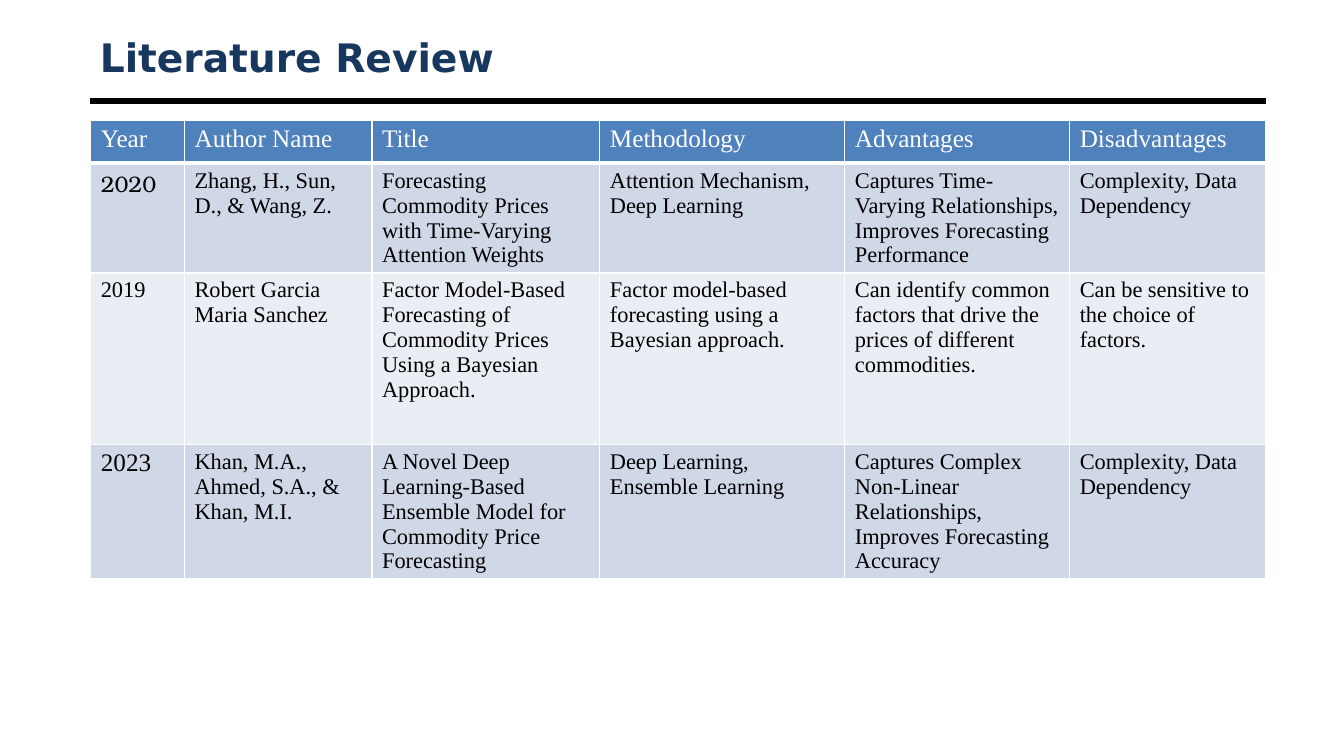
from dataclasses import dataclass

from lxml import etree
from pptx import Presentation
from pptx.dml.color import RGBColor
from pptx.enum.shapes import MSO_CONNECTOR
from pptx.enum.text import MSO_ANCHOR, MSO_AUTO_SIZE, PP_ALIGN
from pptx.oxml.ns import qn
from pptx.util import Inches, Pt

STRAIGHT = MSO_CONNECTOR.STRAIGHT
MIDDLE = MSO_ANCHOR.MIDDLE
NO_FIT = MSO_AUTO_SIZE.NONE
LEFT = PP_ALIGN.LEFT

NAVY = RGBColor(0x17, 0x37, 0x5E)
BLUE = RGBColor(0x4F, 0x81, 0xBD)
DARK = RGBColor(0xD0, 0xD8, 0xE8)
LIGHT = RGBColor(0xE9, 0xED, 0xF4)
BLACK = RGBColor(0, 0, 0)
WHITE = RGBColor(0xFF, 0xFF, 0xFF)

SERIF = "Times New Roman"
WIDTHS = (0.93, 1.86, 2.26, 2.43, 2.23, 1.94)
HEADS = ("Year", "Author Name", "Title", "Methodology",
         "Advantages", "Disadvantages")


@dataclass
class Row:
    height: float
    fill: RGBColor
    texts: tuple[str, ...]
    color: RGBColor = BLACK
    size: int = 16
    year_size: int = 16
    year_font: str = SERIF
    base: int = 1  # width of the bottom border in points


ROWS = (
    Row(0.43, BLUE, HEADS, color=WHITE, size=18, year_size=18, base=3),
    Row(1.08, DARK, (
        "2020",
        "Zhang, H., Sun, D., & Wang, Z.",
        "Forecasting Commodity Prices with Time-Varying Attention Weights",
        "Attention Mechanism, Deep Learning",
        "Captures Time-Varying Relationships, Improves Forecasting Performance",
        "Complexity, Data Dependency",
    ), year_font="TeX Gyre Bonum"),
    Row(1.7, LIGHT, (
        "2019",
        "Robert Garcia\nMaria Sanchez",
        "Factor Model-Based Forecasting of Commodity Prices "
        "Using a Bayesian Approach.",
        "Factor model-based forecasting using a Bayesian approach.",
        "Can identify common factors that drive the prices "
        "of different commodities.",
        "Can be sensitive to the choice of factors.",
    )),
    Row(1.33, DARK, (
        "2023",
        "Khan, M.A., Ahmed, S.A., & Khan, M.I.",
        "A Novel Deep Learning-Based Ensemble Model "
        "for Commodity Price Forecasting",
        "Deep Learning, Ensemble Learning",
        "Captures Complex Non-Linear Relationships, "
        "Improves Forecasting Accuracy",
        "Complexity, Data Dependency",
    ), year_size=18),
)


def add_run(para, text: str, font: str, size: int, color: RGBColor,
            bold: bool = False) -> None:
    run = para.add_run()
    run.text = text
    run.font.name = font
    run.font.size = Pt(size)
    run.font.bold = bold
    run.font.color.rgb = color


def add_edges(cell, top: int, base: int) -> None:
    """Give a cell white borders, ahead of its fill."""
    props = cell._tc.get_or_add_tcPr()
    edges = (("a:lnL", 1), ("a:lnR", 1), ("a:lnT", top), ("a:lnB", base))
    for spot, (tag, width) in enumerate(edges):
        edge = etree.Element(qn(tag), w=str(Pt(width)))
        fill = etree.SubElement(edge, qn("a:solidFill"))
        etree.SubElement(fill, qn("a:srgbClr"), val=str(WHITE))
        props.insert(spot, edge)


def add_title(slide) -> None:
    title = slide.shapes.title
    title.left, title.top = Inches(0.89), Inches(0.3)
    title.width, title.height = Inches(11.67), Inches(0.53)
    frame = title.text_frame
    frame.auto_size = NO_FIT
    frame.vertical_anchor = MIDDLE
    para = frame.paragraphs[0]
    para.alignment = LEFT
    add_run(para, "Literature Review", "DejaVu Sans", 28, NAVY, bold=True)


def add_rule(slide) -> None:
    rule = slide.shapes.add_connector(
        STRAIGHT, Inches(0.89), Inches(1), Inches(12.56), Inches(1))
    rule.line.color.rgb = BLACK
    rule.line.width = Pt(4.5)
    etree.SubElement(rule._element.spPr, qn("a:effectLst"))


def fill_cell(cell, row: Row, col: int, top: int) -> None:
    cell.fill.solid()
    cell.fill.fore_color.rgb = row.fill
    add_edges(cell, top, row.base)
    font, size = (row.year_font, row.year_size) if col == 0 else (SERIF, row.size)
    frame = cell.text_frame
    for num, text in enumerate(row.texts[col].split("\n")):
        para = frame.add_paragraph() if num else frame.paragraphs[0]
        add_run(para, text, font, size, row.color)


def add_grid(slide) -> None:
    height = sum(row.height for row in ROWS)
    grid = slide.shapes.add_table(
        len(ROWS), len(WIDTHS), Inches(0.9), Inches(1.19),
        Inches(sum(WIDTHS)), Inches(height)).table
    grid.first_row = grid.horz_banding = False
    for col, width in enumerate(WIDTHS):
        grid.columns[col].width = Inches(width)
    top = 1
    for num, row in enumerate(ROWS):
        grid.rows[num].height = Inches(row.height)
        for col in range(len(WIDTHS)):
            fill_cell(grid.cell(num, col), row, col, top)
        top = row.base
    # The methodology heading sits a little lower
    head = grid.cell(0, HEADS.index("Methodology"))
    head.text_frame.paragraphs[0].space_before = Pt(3.6)


def main() -> None:
    deck = Presentation()
    deck.slide_width, deck.slide_height = Inches(13.33), Inches(7.5)
    slide = deck.slides.add_slide(deck.slide_layouts.get_by_name("Title Only"))

    # Heading and rule
    add_rule(slide)
    add_title(slide)

    # Review table
    add_grid(slide)

    deck.save("out.pptx")


if __name__ == "__main__":
    main()
